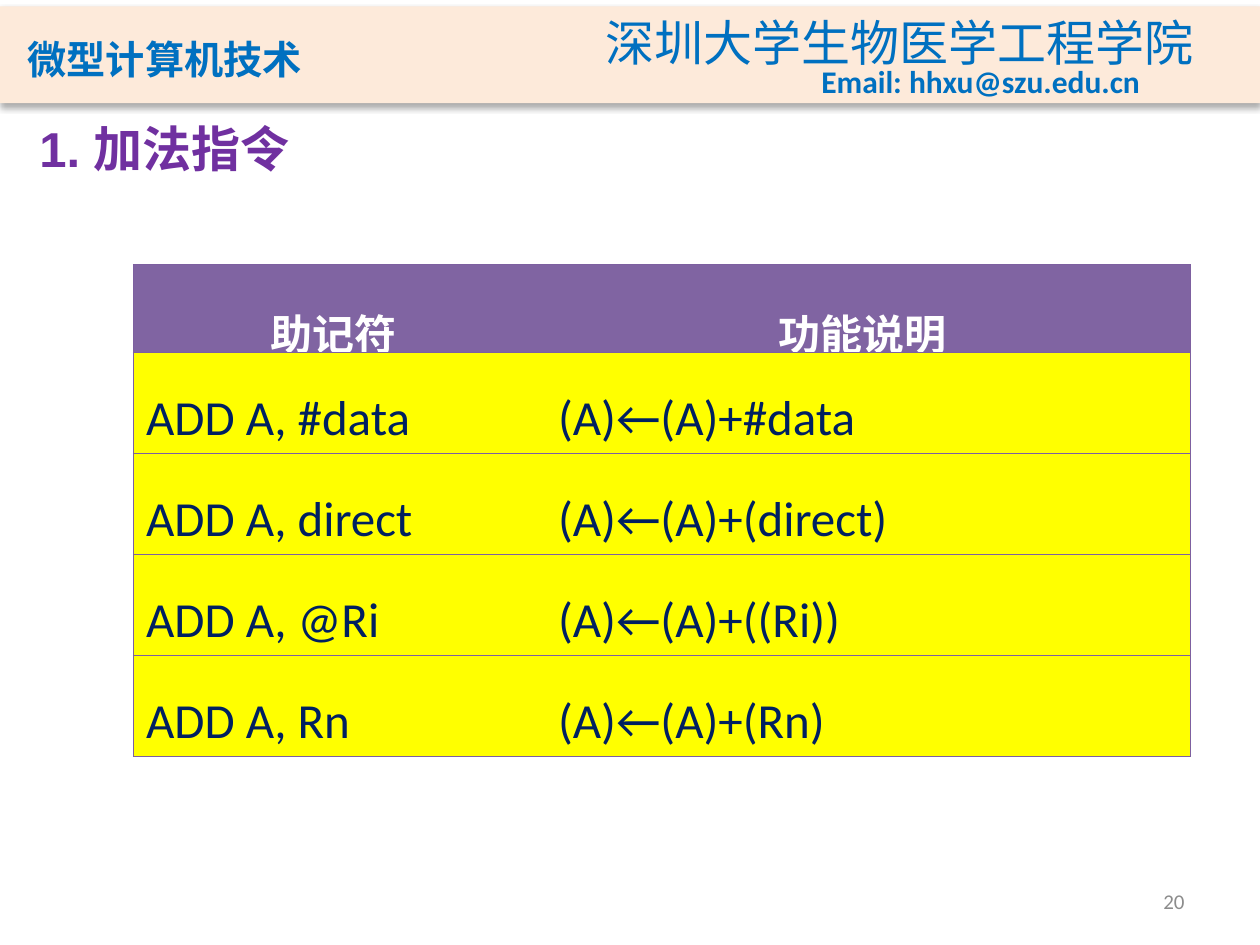
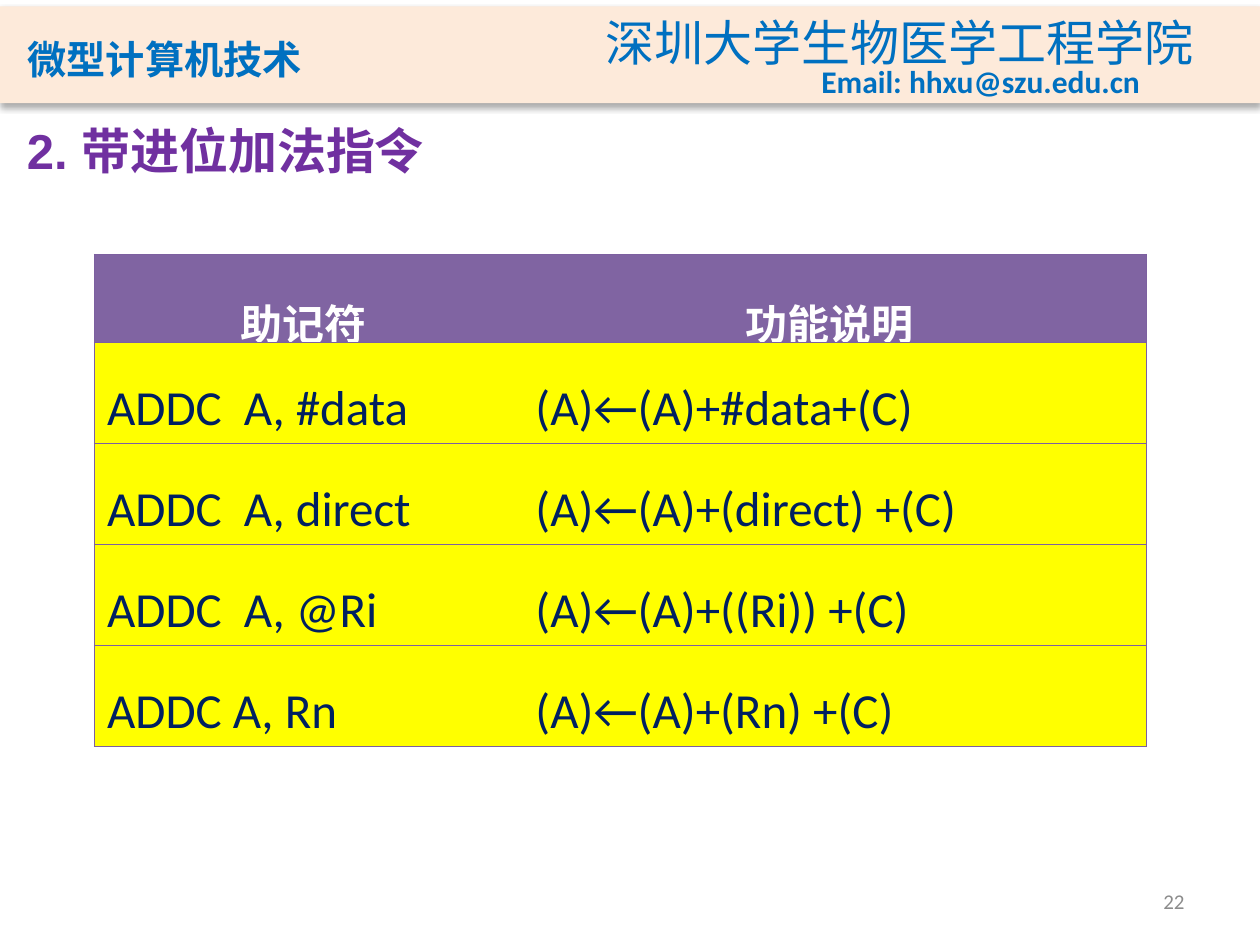
from dataclasses import dataclass
from typing import NamedTuple

from lxml import etree
from pptx import Presentation
from pptx import util as u
from pptx.dml.color import RGBColor
from pptx.enum import shapes, text
from pptx.oxml import ns

# The slide is a grid of 100 columns by 75 rows, with square units.
COLUMNS, ROWS = 100, 75
UNIT = u.Inches(10) // COLUMNS


class Box(NamedTuple):
    """A region in grid units."""
    left: float
    top: float
    width: float
    height: float

    def inner(self, left, top, width, height):
        return Box(self.left + left, self.top + top, width, height)

    def emu(self):
        return [round(length * UNIT) for length in self]


class Style(NamedTuple):
    size: float
    color: str
    face: str = "Calibri"
    bold: bool = False
    east_asian: bool = False
    small_caps: bool = False


@dataclass(frozen=True)
class Theme:
    band: str = "FDEADA"
    table_head: str = "8064A2"
    table_body: str = "FFFF00"
    table_line: str = "7D60A0"
    line_width: float = 0.75
    line_spacing: float = 1.5
    course: Style = Style(28, "0070C0", "Noto Sans CJK JP", True, True, True)
    school: Style = Style(28, "0070C0", "Noto Sans CJK SC", False, True)
    email: Style = Style(18, "0070C0", bold=True)
    number: Style = Style(12, "8C8C8C")
    title: Style = Style(28, "7030A0", "Arial", True)
    head: Style = Style(24, "FFFFFF", bold=True)
    body: Style = Style(28, "002060")


THEME = Theme()
PLAIN_TABLE = "{2D5ABB26-0587-4C30-8999-92F81FD0307C}"
HEAD_HEIGHT, BODY_HEIGHT = 7, 8
TABLE_HEADINGS = ("助记符", "功能说明")


def add_xml(parent, tag, **attributes):
    return etree.SubElement(parent, ns.qn(tag), attributes)


def add_color(parent, color):
    fill = add_xml(parent, "a:solidFill")
    return add_xml(fill, "a:srgbClr", val=color)


def write(frame, words, style, align=text.PP_ALIGN.LEFT):
    frame.text = words
    paragraph = frame.paragraphs[0]
    paragraph.alignment = align
    run = paragraph.runs[0]
    run.font.size = u.Pt(style.size)
    run.font.bold = style.bold
    run.font.color.rgb = RGBColor.from_string(style.color)
    run.font.name = style.face
    properties = run._r.get_or_add_rPr()
    if style.east_asian:
        add_xml(properties, "a:ea", typeface=style.face)
    if style.small_caps:
        properties.set("cap", "small")
    return paragraph


def add_label(slide, box, words, style, align=text.PP_ALIGN.LEFT,
              anchor=text.MSO_ANCHOR.TOP, fit=False):
    """Add a text box; with fit, the box follows its single line."""
    frame = slide.shapes.add_textbox(*box.emu()).text_frame
    frame.word_wrap = not fit
    if fit:
        frame.auto_size = text.MSO_AUTO_SIZE.SHAPE_TO_FIT_TEXT
    frame.vertical_anchor = anchor
    write(frame, words, style, align)


def add_band_shadow(band):
    effects = add_xml(band._element.spPr, "a:effectLst")
    shadow = add_xml(effects, "a:outerShdw", blurRad=str(u.Pt(3.5)),
                     dist=str(u.Pt(2.2)), dir="5400000", rotWithShape="0")
    add_xml(add_xml(shadow, "a:srgbClr", val="000000"), "a:alpha", val="32000")


def add_header(slide, box):
    band = slide.shapes.add_shape(shapes.MSO_SHAPE.RECTANGLE, *box.emu())
    band.fill.solid()
    band.fill.fore_color.rgb = RGBColor.from_string(THEME.band)
    band.line.fill.background()
    add_band_shadow(band)
    add_label(slide, box.inner(1.2, 1.1, 33.9, 5.6), "微型计算机技术",
              THEME.course, anchor=text.MSO_ANCHOR.BOTTOM)
    add_label(slide, box.inner(47.1, 0, 49.1, 5.7), "深圳大学生物医学工程学院",
              THEME.school, fit=True)
    add_label(slide, box.inner(64.2, 3.9, 27.5, 4), "Email: hhxu@szu.edu.cn",
              THEME.email, fit=True)


def add_page_number(slide, box, number):
    add_label(slide, box, str(number), THEME.number,
              text.PP_ALIGN.RIGHT, text.MSO_ANCHOR.MIDDLE)


def add_cell_lines(cell, sides):
    """Draw the given sides, named L, R, T, B, ahead of the cell's fill."""
    properties = cell._tc.get_or_add_tcPr()
    for index, side in enumerate(sides):
        line = add_xml(properties, f"a:ln{side}",
                       w=str(u.Pt(THEME.line_width)))
        add_color(line, THEME.table_line)
        properties.insert(index, line)


def add_instruction_table(slide, box, mnemonic_width, instructions):
    rows = [TABLE_HEADINGS, *instructions]
    frame = slide.shapes.add_table(len(rows), 2, *box.emu())
    table = frame.table
    table._tbl.tblPr.find(ns.qn("a:tableStyleId")).text = PLAIN_TABLE
    widths = (mnemonic_width, box.width - mnemonic_width)
    for column, width in zip(table.columns, widths):
        column.width = round(width * UNIT)
    for row_index, row in enumerate(rows):
        is_head = row_index == 0
        height = HEAD_HEIGHT if is_head else BODY_HEIGHT
        table.rows[row_index].height = round(height * UNIT)
        style = THEME.head if is_head else THEME.body
        fill = THEME.table_head if is_head else THEME.table_body
        align = text.PP_ALIGN.CENTER if is_head else text.PP_ALIGN.LEFT
        for column_index, words in enumerate(row):
            cell = table.cell(row_index, column_index)
            cell.fill.solid()
            cell.fill.fore_color.rgb = RGBColor.from_string(fill)
            if column_index and not is_head:
                cell.margin_left = round(1.9 * UNIT)
            paragraph = write(cell.text_frame, words, style, align)
            paragraph.line_spacing = THEME.line_spacing
            add_cell_lines(cell, "RTB" if column_index else "LTB")


def add_instruction_slide(deck, number, title, title_box, table_box,
                          mnemonic_width, instructions):
    slide = deck.slides.add_slide(deck.slide_layouts[6])
    add_header(slide, Box(0, 0.5, COLUMNS, 7.7))
    add_page_number(slide, Box(71.7, 69.5, 23.3, 4), number)
    add_label(slide, title_box, title, THEME.title,
              text.PP_ALIGN.CENTER, fit=True)
    add_instruction_table(slide, table_box, mnemonic_width, instructions)


def main():
    deck = Presentation()
    deck.slide_width, deck.slide_height = COLUMNS * UNIT, ROWS * UNIT
    add_instruction_slide(
        deck, 20, "1. 加法指令", Box(1.2, 8.9, 23.7, 5.7),
        Box(10.6, 21, 83.9, 39), 31.8,
        [("ADD A, #data", "(A)←(A)+#data"),
         ("ADD A, direct", "(A)←(A)+(direct)"),
         ("ADD A, @Ri", "(A)←(A)+((Ri))"),
         ("ADD A, Rn", "(A)←(A)+(Rn)")])
    add_instruction_slide(
        deck, 22, "2. 带进位加法指令", Box(0.1, 9.1, 35.6, 5.7),
        Box(7.5, 20.2, 83.5, 39), 33.1,
        [("ADDC  A, #data", "(A)←(A)+#data+(C)"),
         ("ADDC  A, direct", "(A)←(A)+(direct) +(C)"),
         ("ADDC  A, @Ri", "(A)←(A)+((Ri)) +(C)"),
         ("ADDC A, Rn", "(A)←(A)+(Rn) +(C)")])
    deck.save("out.pptx")


if __name__ == "__main__":
    main()
